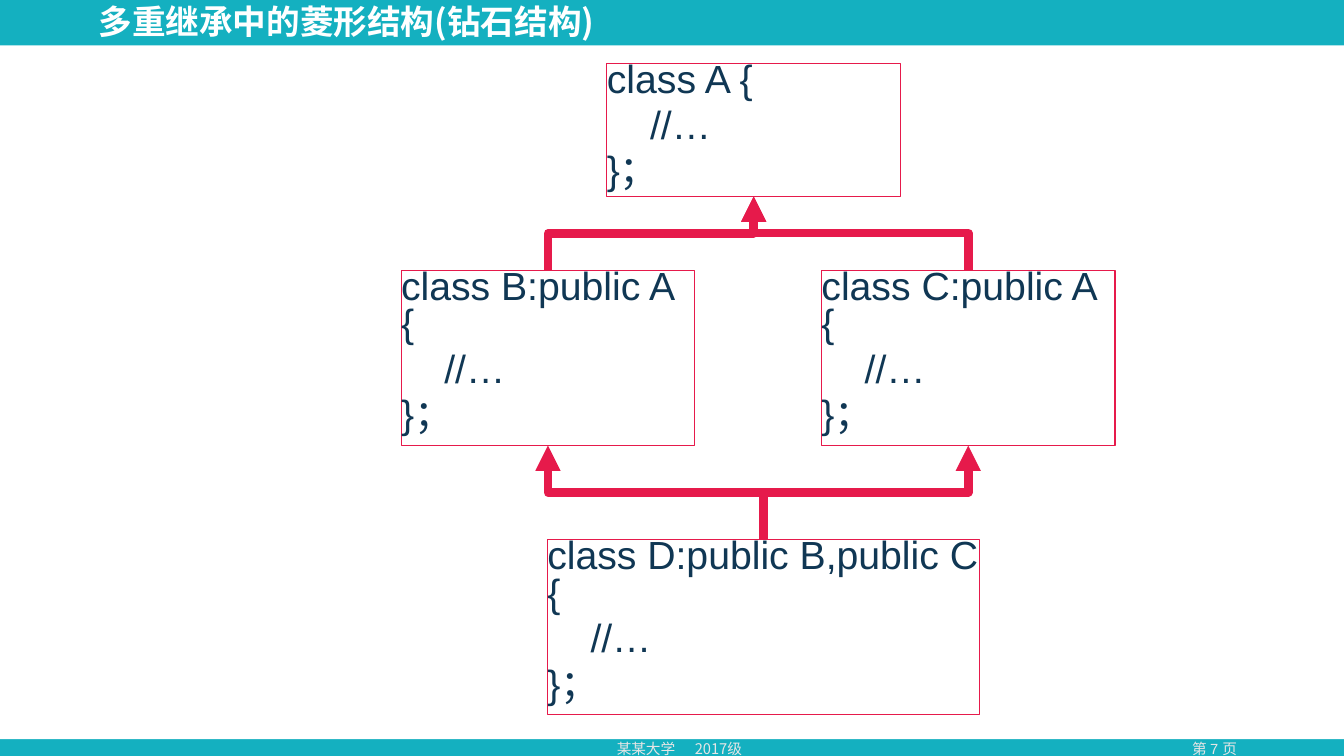
import dataclasses

import lxml.etree
import pptx
import pptx.dml.color
import pptx.enum.shapes
import pptx.enum.text
import pptx.oxml.ns
import pptx.shapes.autoshape
import pptx.slide
import pptx.util

SLIDE_WIDTH = pptx.util.Inches(13.333)
SLIDE_HEIGHT = pptx.util.Inches(7.5)
COLUMNS, ROWS = 160, 90
COLORS = {"teal": "14B0C0", "white": "FFFFFF", "red": "E61A4B", "navy": "103754", "grey": "E7E6E6"}
LATIN_FONT, CHINESE_FONT = "Arial", "Noto Sans CJK SC"
CODE_INDENT = 5.15
FOOTER_TAB = 9.3


@dataclasses.dataclass(frozen=True)
class Area:
    """A rectangle measured in grid columns and rows."""
    column: float
    row: float
    width: float
    height: float

    @property
    def center(self) -> float:
        return self.column + self.width / 2

    @property
    def bottom(self) -> float:
        return self.row + self.height


@dataclasses.dataclass(frozen=True)
class ClassBox:
    heading: str
    area: Area


@dataclasses.dataclass(frozen=True)
class Label:
    text: str
    area: Area
    size: float
    color: str
    font: str = CHINESE_FONT
    bold: bool = False
    line_spacing: float = 1.0
    alignment: pptx.enum.text.PP_ALIGN = pptx.enum.text.PP_ALIGN.LEFT
    anchor: pptx.enum.text.MSO_ANCHOR = pptx.enum.text.MSO_ANCHOR.TOP
    tab: float = 0


CLASS_A = ClassBox("class A {", Area(72.25, 7.55, 34.95, 15.85))
CLASS_B = ClassBox("class B:public A {", Area(47.75, 32.15, 34.95, 20.9))
CLASS_C = ClassBox("class C:public A {", Area(97.8, 32.15, 34.95, 20.9))
CLASS_D = ClassBox("class D:public B,public C {", Area(65.15, 64.2, 51.5, 20.9))
INHERITANCE = [(CLASS_B, CLASS_A), (CLASS_C, CLASS_A), (CLASS_D, CLASS_B), (CLASS_D, CLASS_C)]

LABELS = [
    Label("第 7 页", Area(135.85, 87.5, 17.5, 3.35), 10.5, "grey", LATIN_FONT,
          alignment=pptx.enum.text.PP_ALIGN.CENTER),
    Label("某某大学\t2017级", Area(72.25, 87.5, 22.1, 3.35), 10.5, "grey", tab=FOOTER_TAB),
    Label("多重继承中的菱形结构(钻石结构)", Area(10.55, 0.5, 92.15, 4.7), 24, "white", bold=True,
          line_spacing=0.9, anchor=pptx.enum.text.MSO_ANCHOR.MIDDLE),
]


def across(columns: float) -> int:
    return round(SLIDE_WIDTH * columns / COLUMNS)


def down(rows: float) -> int:
    return round(SLIDE_HEIGHT * rows / ROWS)


def place(area: Area) -> tuple[int, int, int, int]:
    return across(area.column), down(area.row), across(area.width), down(area.height)


def rgb(color: str) -> pptx.dml.color.RGBColor:
    return pptx.dml.color.RGBColor.from_string(COLORS[color])


def add_child(parent: lxml.etree._Element, tag: str, **attributes: str) -> lxml.etree._Element:
    return lxml.etree.SubElement(parent, pptx.oxml.ns.qn(tag), attributes)


def add_run(paragraph: pptx.text.text._Paragraph, text: str, size: float, color: str,
            font: str, bold: bool = False) -> None:
    run = paragraph.add_run()
    run.text = text
    run.font.size = pptx.util.Pt(size)
    run.font.bold = bold
    run.font.color.rgb = rgb(color)
    run.font.name = font
    add_child(run.font._element, "a:ea", typeface=CHINESE_FONT)


def add_rectangle(slide: pptx.slide.Slide, area: Area) -> pptx.shapes.autoshape.Shape:
    shape = slide.shapes.add_shape(pptx.enum.shapes.MSO_SHAPE.RECTANGLE, *place(area))
    shape.shadow.inherit = False
    return shape


def add_band(slide: pptx.slide.Slide, area: Area, color: str) -> None:
    shape = add_rectangle(slide, area)
    shape.fill.solid()
    shape.fill.fore_color.rgb = rgb(color)
    shape.line.fill.background()


def add_label(slide: pptx.slide.Slide, label: Label) -> None:
    frame = slide.shapes.add_textbox(*place(label.area)).text_frame
    frame.word_wrap = True
    frame.vertical_anchor = label.anchor
    paragraph = frame.paragraphs[0]
    paragraph.alignment = label.alignment
    paragraph.line_spacing = label.line_spacing
    if label.tab:
        tabs = add_child(paragraph._p.get_or_add_pPr(), "a:tabLst")
        add_child(tabs, "a:tab", pos=str(across(label.tab)), algn="l")
    add_run(paragraph, label.text, label.size, label.color, label.font, label.bold)


def add_class_box(slide: pptx.slide.Slide, box: ClassBox) -> None:
    shape = add_rectangle(slide, box.area)
    shape.fill.background()
    shape.line.color.rgb = rgb("red")
    shape.line.width = pptx.util.Pt(0.75)
    frame = shape.text_frame
    frame.word_wrap = True
    frame.auto_size = pptx.enum.text.MSO_AUTO_SIZE.SHAPE_TO_FIT_TEXT
    frame.vertical_anchor = pptx.enum.text.MSO_ANCHOR.TOP
    frame.margin_left = frame.margin_right = frame.margin_top = frame.margin_bottom = 0
    for index, (text, indent) in enumerate([(box.heading, 0), ("//…", CODE_INDENT), ("}；", 0)]):
        paragraph = frame.add_paragraph() if index else frame.paragraphs[0]
        paragraph.alignment = pptx.enum.text.PP_ALIGN.LEFT
        paragraph.line_spacing = 0.8
        properties = paragraph._p.get_or_add_pPr()
        properties.set("marL", str(across(indent)))
        add_child(add_child(properties, "a:spcBef"), "a:spcPct", val="20000")
        add_run(paragraph, text, 28, "navy", LATIN_FONT)


def add_inheritance_arrow(slide: pptx.slide.Slide, derived: Area, base: Area) -> None:
    """Bent arrow leaving upwards: an elbow laid on its side, then turned by 270 degrees."""
    middle_x = across((derived.center + base.center) / 2)
    middle_y = down((derived.row + base.bottom) / 2)
    half_rise = down((derived.row - base.bottom) / 2)
    half_run = across((base.center - derived.center) / 2)
    connector = slide.shapes.add_connector(
        pptx.enum.shapes.MSO_CONNECTOR.ELBOW,
        middle_x - half_rise, middle_y - half_run, middle_x + half_rise, middle_y + half_run)
    connector.line.color.rgb = rgb("red")
    connector.line.width = pptx.util.Pt(6)
    properties = connector._element.spPr
    properties.find(pptx.oxml.ns.qn("a:xfrm")).set("rot", str(270 * 60000))
    add_child(connector.line._get_or_add_ln(), "a:tailEnd", type="triangle")
    add_child(properties, "a:effectLst")


def main() -> None:
    presentation = pptx.Presentation()
    presentation.slide_width, presentation.slide_height = SLIDE_WIDTH, SLIDE_HEIGHT
    slide = presentation.slides.add_slide(presentation.slide_layouts[6])
    add_band(slide, Area(0, 0, COLUMNS, ROWS), "teal")
    add_band(slide, Area(0, 5.4, COLUMNS, 82.6), "white")
    for label in LABELS:
        add_label(slide, label)
    for box in (CLASS_A, CLASS_B, CLASS_C, CLASS_D):
        add_class_box(slide, box)
    for derived, base in INHERITANCE:
        add_inheritance_arrow(slide, derived.area, base.area)
    presentation.save("out.pptx")


if __name__ == "__main__":
    main()
